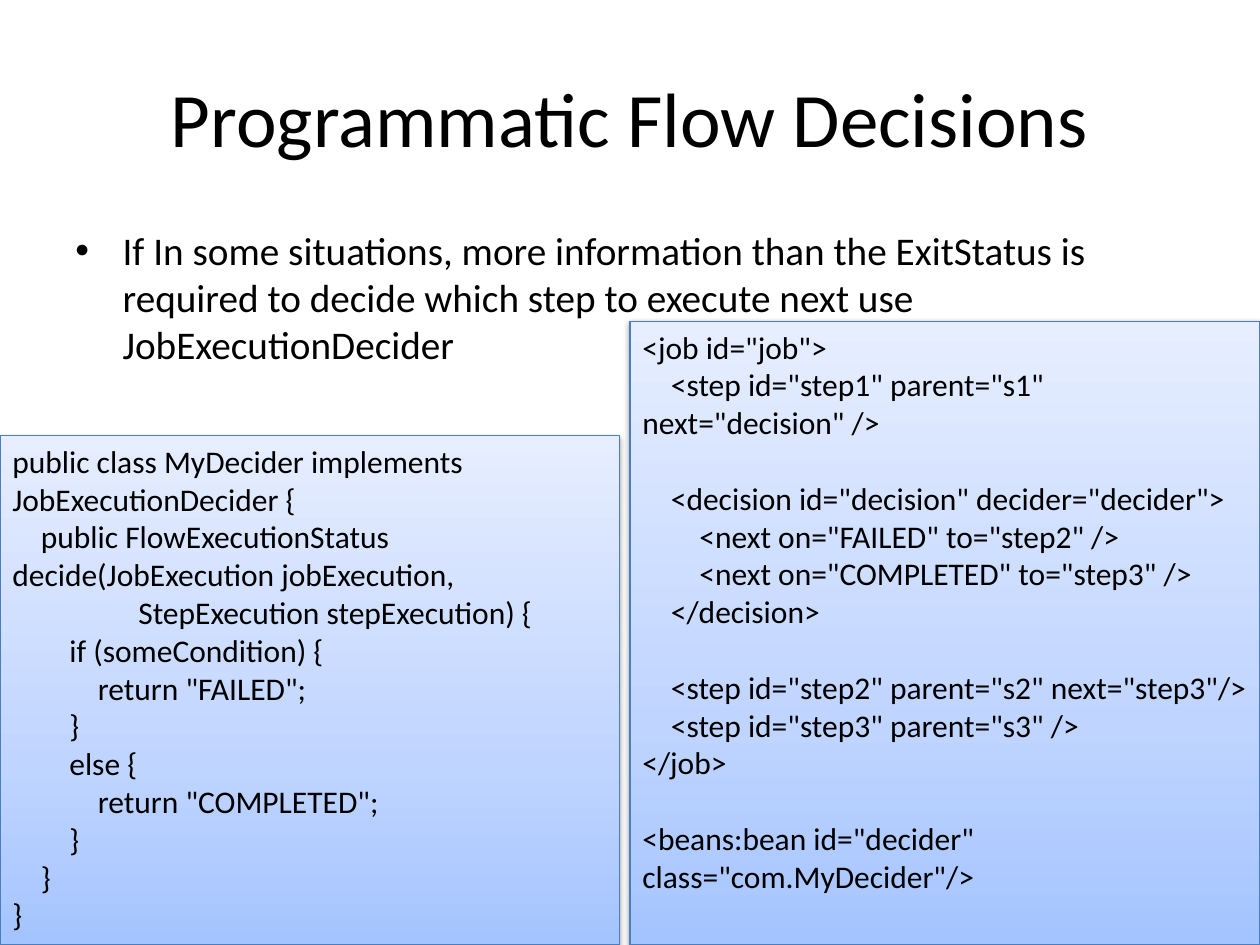
from copy import deepcopy

from lxml.etree import SubElement
from pptx import Presentation
from pptx.dml.color import RGBColor
from pptx.enum.shapes import MSO_SHAPE as Shape
from pptx.enum.text import MSO_ANCHOR as Anchor, PP_ALIGN as Align
from pptx.oxml.ns import qn
from pptx.util import Pt

BLACK = RGBColor(0x00, 0x00, 0x00)
EDGE = RGBColor(0x4B, 0x7E, 0xBC)
BLUES = [
    (0, RGBColor(0xA4, 0xC4, 0xFF)),
    (0.35, RGBColor(0xBF, 0xD4, 0xFF)),
    (1, RGBColor(0xE6, 0xEE, 0xFF)),
]
STEP = 16.3  # one level of code indent
GAP = 21.6   # one line of code


def put(frame, text, size=18, align=Align.LEFT, anchor=Anchor.TOP,
        first=0, left=0, before=0, bullet=None):
    """Add one formatted paragraph to a text frame."""
    frame.word_wrap = True
    frame.vertical_anchor = anchor
    para = frame.paragraphs[0]
    if para.runs:
        para = frame.add_paragraph()
    para.alignment = align
    para.space_before = Pt(before)
    run = para.add_run()
    run.text = text
    run.font.name = "Calibri"
    run.font.size = Pt(size)
    run.font.color.rgb = BLACK
    props = para._p.get_or_add_pPr()
    props.set("marL", str(Pt(left)))
    props.set("indent", str(Pt(first)))
    if bullet:
        SubElement(props, qn("a:buFont"), typeface="Arial")
        SubElement(props, qn("a:buChar"), char=bullet)


def panel(slide, left, top, width, height):
    """Draw a shaded code panel and return its text frame."""
    box = slide.shapes.add_shape(
        Shape.RECTANGLE, Pt(left), Pt(top), Pt(width), Pt(height))
    box.line.color.rgb = EDGE
    box.line.width = Pt(0.75)
    box.fill.gradient()
    box.fill.gradient_angle = 90
    props = box._element.spPr
    stops = props.find(".//" + qn("a:gsLst"))
    stops.insert(1, deepcopy(stops[0]))
    for stop, (pos, color) in zip(box.fill.gradient_stops, BLUES):
        stop.position = pos
        stop.color.rgb = color
    box.shadow.inherit = False
    shade = SubElement(
        props.find(qn("a:effectLst")), qn("a:outerShdw"),
        blurRad=str(Pt(3.1)), dist=str(Pt(1.6)), dir="5400000", rotWithShape="0")
    tint = SubElement(shade, qn("a:srgbClr"), val="000000")
    SubElement(tint, qn("a:alpha"), val="38000")
    return box.text_frame


deck = Presentation()
deck.slide_width, deck.slide_height = Pt(720), Pt(540)
slide = deck.slides.add_slide(deck.slide_layouts[5])

title = slide.shapes.title
title.left, title.top, title.width, title.height = Pt(36), Pt(21.6), Pt(648), Pt(90)
put(title.text_frame, "Programmatic Flow Decisions", size=44,
    align=Align.CENTER, anchor=Anchor.MIDDLE)

body = slide.shapes.add_textbox(Pt(36), Pt(126), Pt(648), Pt(78))
put(body.text_frame,
    "If In some situations, more information than the\u00a0ExitStatus\u00a0is "
    "required to decide which step to execute next use JobExecutionDecider",
    size=22.4, left=27, first=-27, bullet="•")

# Each line of code: indent level, text
java = [
    (0, "public class MyDecider implements JobExecutionDecider {"),
    (1, "public FlowExecutionStatus decide(JobExecution jobExecution,"),
    (72 / STEP, "StepExecution stepExecution) {"),
    (2, "if (someCondition) {"),
    (3, 'return "FAILED";'),
    (2, "}"),
    (2, "else {"),
    (3, 'return "COMPLETED";'),
    (2, "}"),
    (1, "}"),
    (0, "}"),
]
# Groups of lines are set apart by one line of space
xml = [
    [(0, '<job id="job">'),
     (1, '<step id="step1" parent="s1" next="decision" />')],
    [(1, '<decision id="decision" decider="decider">'),
     (2, '<next on="FAILED" to="step2" />'),
     (2, '<next on="COMPLETED" to="step3" />'),
     (1, "</decision>")],
    [(1, '<step id="step2" parent="s2" next="step3"/>'),
     (1, '<step id="step3" parent="s3" />'),
     (0, "</job>")],
    [(0, '<beans:bean id="decider" class="com.MyDecider"/>')],
]
panels = [
    ((0, 249, 354, 291), [java]),
    ((360, 183.6, 360, 356.4), xml),
]
for place, groups in panels:
    frame = panel(slide, *place)
    for g, group in enumerate(groups):
        for n, (level, text) in enumerate(group):
            put(frame, text, first=level * STEP,
                before=GAP if g and not n else 0)

deck.save("out.pptx")
